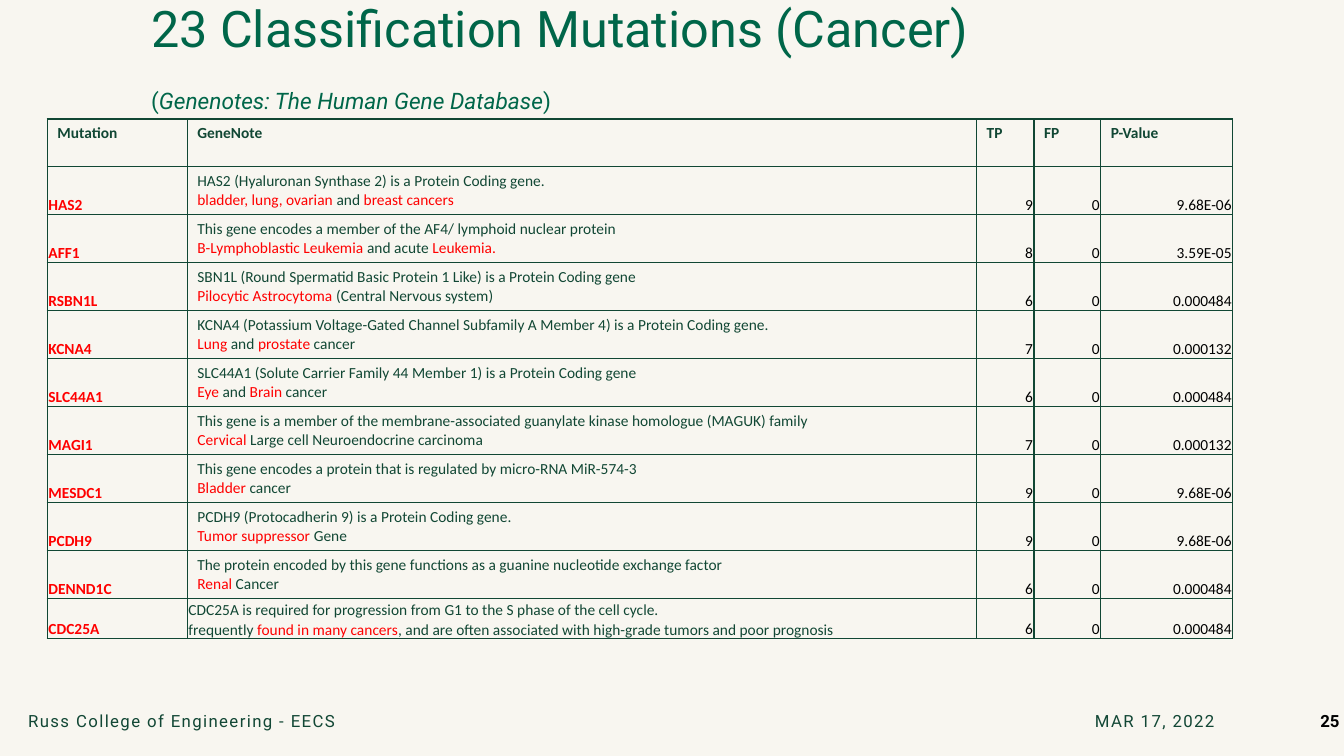
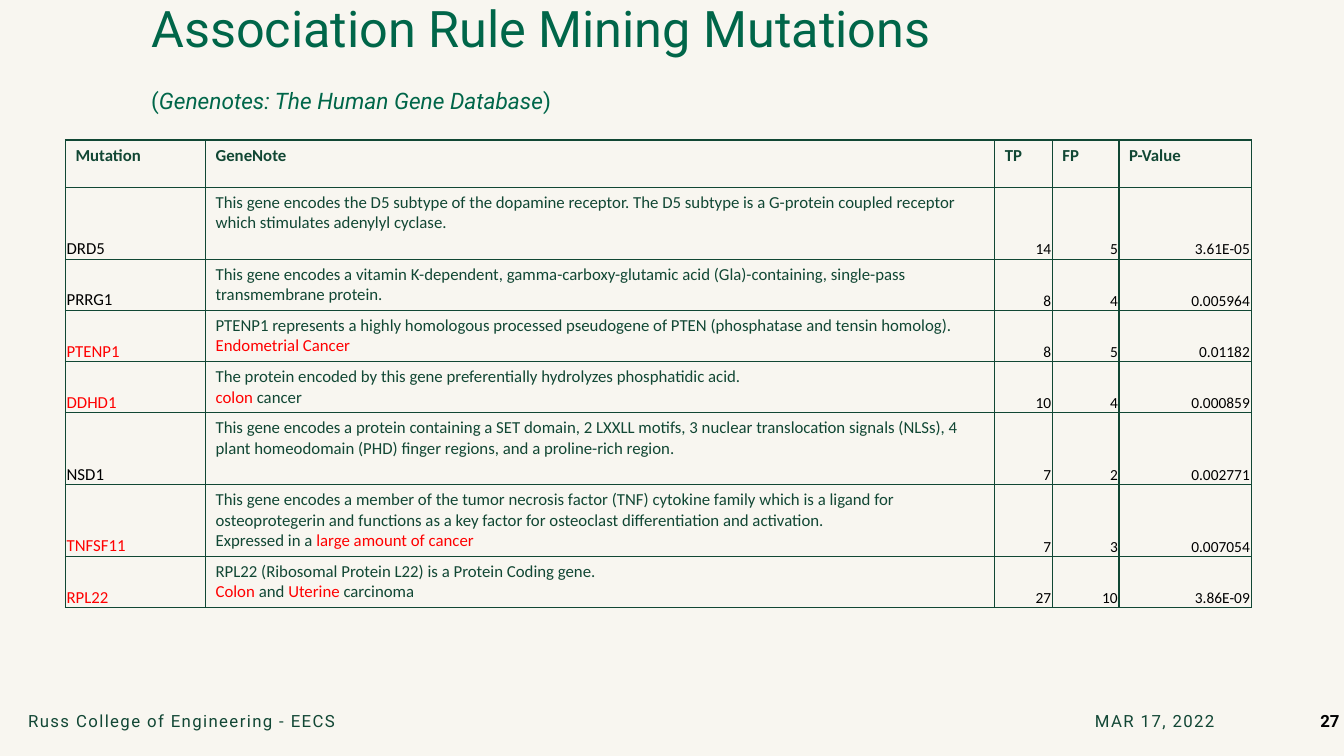
from lxml.etree import SubElement
from pptx import Presentation
from pptx.dml.color import RGBColor
from pptx.enum.text import MSO_ANCHOR, PP_ALIGN
from pptx.oxml.ns import qn
from pptx.util import Cm, Pt

INK = {"paper": "F8F6F0", "title": "006649", "foot": "124735",
       "text": "114734", "red": "FF0000", "black": "000000"}
HEADS = ["Mutation", "GeneNote", "TP", "FP", "P-Value"]
COLS = [3.53, 19.89, 1.45, 1.68, 3.33]
TIGHT = {"margin_left": Cm(0.03), "margin_right": Cm(0.03), "margin_top": Cm(0.03),
         "margin_bottom": Cm(0), "vertical_anchor": MSO_ANCHOR.BOTTOM}

CANCER = [
    ("*HAS2*", ["HAS2 (Hyaluronan Synthase 2) is a Protein Coding gene.",
                "*bladder, lung, ovarian *and *breast cancers*"], "9", "0", "9.68E-06"),
    ("*AFF1*", ["This gene encodes a member of the AF4/ lymphoid nuclear protein",
                "*B-Lymphoblastic Leukemia *and acute *Leukemia.*"], "8", "0", "3.59E-05"),
    ("*RSBN1L*", ["SBN1L (Round Spermatid Basic Protein 1 Like) is a Protein Coding gene",
                  "*Pilocytic Astrocytoma *(Central Nervous system)"], "6", "0", "0.000484"),
    ("*KCNA4*", ["KCNA4 (Potassium Voltage-Gated Channel Subfamily A Member 4) is a Protein Coding gene.",
                 "*Lung* and *prostate* cancer"], "7", "0", "0.000132"),
    ("*SLC44A1*", ["SLC44A1 (Solute Carrier Family 44 Member 1) is a Protein Coding gene",
                   "*Eye* and *Brain* cancer"], "6", "0", "0.000484"),
    ("*MAGI1*", ["This gene is a member of the membrane-associated guanylate kinase homologue (MAGUK) family",
                 "*Cervical* Large cell Neuroendocrine carcinoma"], "7", "0", "0.000132"),
    ("*MESDC1*", ["This gene encodes a protein that is regulated by micro-RNA MiR-574-3",
                  "*Bladder* cancer"], "9", "0", "9.68E-06"),
    ("*PCDH9*", ["PCDH9 (Protocadherin 9) is a Protein Coding gene.",
                 "*Tumor suppressor *Gene"], "9", "0", "9.68E-06"),
    ("*DENND1C*", ["The protein encoded by this gene functions as a guanine nucleotide exchange factor",
                   "*Renal* Cancer"], "6", "0", "0.000484"),
    ("*CDC25A*", ["CDC25A is required for progression from G1 to the S phase of the cell cycle.",
                  "frequently *found in many cancers*, and are often associated with high-grade tumors and poor prognosis"],
     "6", "0", "0.000484"),
]
MINING = [
    ("DRD5", ["This gene encodes the D5 subtype of the dopamine receptor. The D5 subtype is a G-protein coupled "
              "receptor which stimulates adenylyl cyclase."], "14", "5", "3.61E-05"),
    ("PRRG1", ["This gene encodes a vitamin K-dependent, gamma-carboxy-glutamic acid (Gla)-containing, single-pass "
               "transmembrane protein."], "8", "4", "0.005964"),
    ("*PTENP1*", ["PTENP1 represents a highly homologous processed pseudogene of PTEN (phosphatase and tensin homolog).",
                  "*Endometrial Cancer*"], "8", "5", "0.01182"),
    ("*DDHD1*", ["The protein encoded by this gene preferentially hydrolyzes phosphatidic acid.",
                 "*colon* cancer"], "10", "4", "0.000859"),
    ("NSD1", ["This gene encodes a protein containing a SET domain, 2 LXXLL motifs, 3 nuclear translocation signals "
              "(NLSs), 4 plant homeodomain (PHD) finger regions, and a proline-rich region."], "7", "2", "0.002771"),
    ("*TNFSF11*", ["This gene encodes a member of the tumor necrosis factor (TNF) cytokine family which is a ligand for "
                   "osteoprotegerin and functions as a key factor for osteoclast differentiation and activation.",
                   "Expressed in a *large amount of cancer*"], "7", "3", "0.007054"),
    ("*RPL22*", ["RPL22 (Ribosomal Protein L22) is a Protein Coding gene.",
                 "*Colon* and *Uterine* carcinoma"], "27", "10", "3.86E-09"),
]


class Deck:
    """Holds the style and the current slide of a gene table deck."""

    def __init__(self):
        self.prs = Presentation()
        self.put(self.prs, slide_width=Cm(33.87), slide_height=Cm(19.05))
        fill = self.prs.slide_master.background.fill
        fill.solid()
        fill.fore_color.rgb = RGBColor.from_string(INK["paper"])

    def put(self, item, **form):
        for name, value in form.items():
            setattr(item, name, value)

    def run(self, para, text, ink, size, face="Roboto", **form):
        run = para.add_run()
        run.text = text
        self.put(run.font, name=face, size=Pt(size), **form)
        run.font.color.rgb = RGBColor.from_string(INK[ink])
        return run

    def box(self, x, y, w, h, anchor=MSO_ANCHOR.MIDDLE, **form):
        frame = self.slide.shapes.add_textbox(Cm(x), Cm(y), Cm(w), Cm(h)).text_frame
        self.put(frame, word_wrap=True, vertical_anchor=anchor)
        self.put(frame.paragraphs[0], **form)
        return frame.paragraphs[0]

    def title(self, text):
        para = self.box(3.56, 0.41, 27.97, 2.59, MSO_ANCHOR.BOTTOM, line_spacing=Pt(40))
        self.run(para, text, "title", 36)
        para.add_line_break()
        for part, slant in (("(", False), ("Genenotes: The Human Gene Database", True), (")", False)):
            self.run(para, part, "title", 16.2, italic=slant)

    def foot(self, page):
        for text, x, w, side in (("MAR 17, 2022", 22.83, 8.03, PP_ALIGN.RIGHT),
                                 ("Russ College of Engineering - EECS", 0.46, 22.17, PP_ALIGN.LEFT)):
            para = self.box(x, 17.65, w, 1.02, alignment=side)
            run = self.run(para, text, "foot", 12)
            run.font._element.set("spc", "100")
        para = self.box(32.77, 17.65, 1.24, 1.02, alignment=PP_ALIGN.RIGHT)
        self.run(para, page, "black", 12, bold=True)

    def cell(self, cell, lines, ink, size, bold=False, tight=False, **form):
        props = cell._tc.get_or_add_tcPr()
        for side in ("lnL", "lnR", "lnT", "lnB"):
            line = SubElement(props, qn("a:" + side), w=str(Pt(1)))
            SubElement(SubElement(line, qn("a:solidFill")), qn("a:srgbClr"), val=INK["text"])
        cell.fill.background()
        if tight:
            self.put(cell, **TIGHT)
        for i, text in enumerate(lines):
            para = cell.text_frame.add_paragraph() if i else cell.text_frame.paragraphs[0]
            self.put(para, **form)
            for j, part in enumerate(text.split("*")):
                if part:
                    self.run(para, part, "red" if j % 2 else ink, size, "Calibri", bold=bold)

    def table(self, x, y, highs, rows, size, bold=False, last=False):
        frame = self.slide.shapes.add_table(len(highs), len(COLS), Cm(x), Cm(y), Cm(sum(COLS)), Cm(sum(highs)))
        table = frame.table
        self.put(table, first_row=False, horz_banding=False)
        for col, width in zip(table.columns, COLS):
            col.width = Cm(width)
        for row, high in zip(table.rows, highs):
            row.height = Cm(high)
        for c, head in enumerate(HEADS):
            self.cell(table.cell(0, c), [head], "text", size, True)
        for r, (name, card, *nums) in enumerate(rows, 1):
            snug = last and r == len(rows)
            self.cell(table.cell(r, 0), [name], "black", size, bold, True)
            self.cell(table.cell(r, 1), card, "text", size, tight=snug, line_spacing=1.05 if snug else None)
            for c, num in enumerate(nums, 2):
                self.cell(table.cell(r, c), [num], "black", 11, tight=True, alignment=PP_ALIGN.RIGHT)

    def page(self, title, page, *spot, **form):
        self.slide = self.prs.slides.add_slide(self.prs.slide_layouts[6])
        self.title(title)
        self.table(*spot, **form)
        self.foot(page)


def main():
    deck = Deck()
    deck.page("23 Classification Mutations (Cancer)", "25", 1.19, 3,
              [1.19] + [1.21] * 9 + [1], CANCER, 11, bold=True, last=True)
    deck.page("Association Rule Mining Mutations", "27", 1.65, 3.53,
              [1.19, 1.81, 1.29, 1.29, 1.29, 1.81, 1.81, 1.29], MINING, 12)
    deck.prs.save("out.pptx")


if __name__ == "__main__":
    main()
